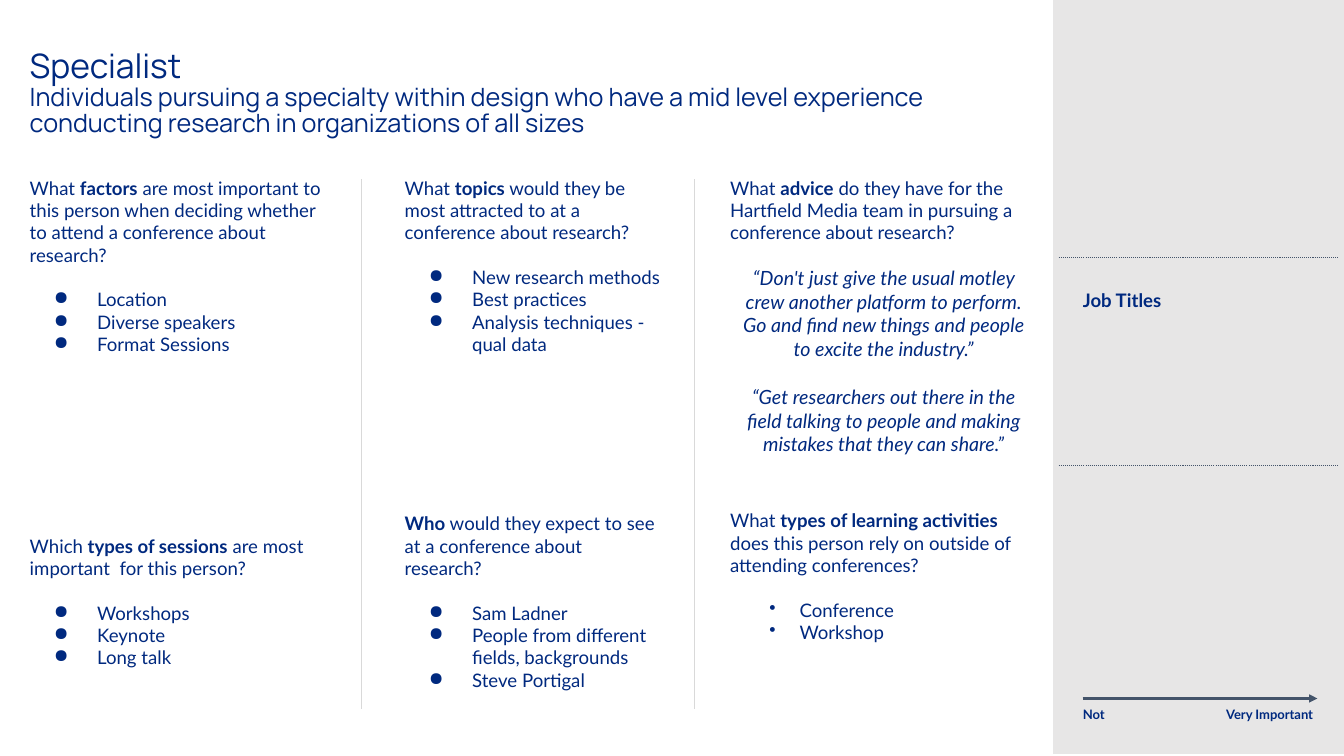
from lxml import etree
from pptx import Presentation
from pptx.dml.color import RGBColor
from pptx.enum.dml import MSO_LINE
from pptx.enum.shapes import MSO_CONNECTOR, MSO_SHAPE
from pptx.enum.text import MSO_ANCHOR, PP_ALIGN
from pptx.oxml.ns import qn
from pptx.util import Cm, Pt

NAVY = RGBColor(0x00, 0x29, 0x7F)
SLATE = RGBColor(0x44, 0x54, 0x6A)
RULE = RGBColor(0xD9, 0xD9, 0xD9)
PANEL = RGBColor(0xE7, 0xE6, 0xE6)
LEFT, CENTER, RIGHT = PP_ALIGN.LEFT, PP_ALIGN.CENTER, PP_ALIGN.RIGHT
TOP, MIDDLE = MSO_ANCHOR.TOP, MSO_ANCHOR.MIDDLE
STRAIGHT, RECT, DOT = MSO_CONNECTOR.STRAIGHT, MSO_SHAPE.RECTANGLE, MSO_LINE.ROUND_DOT

BODY = 13.3
LINE = 16  # height in points of one line of body text
INSET = Cm(0.34)


def add_box(slide, x, y, w, h, anchor=TOP):
    tf = slide.shapes.add_textbox(Cm(x), Cm(y), Cm(w), Cm(h)).text_frame
    tf.word_wrap = True
    tf.vertical_anchor = anchor
    tf.margin_left = tf.margin_right = tf.margin_top = tf.margin_bottom = INSET
    return tf


def add_text(tf, text, size=BODY, font="Lato", bold=False, italic=False,
             align=LEFT, before=0, spacing=1.0, margin=0, hang=0, bullet=None):
    """Add a paragraph; parts between asterisks switch boldness."""
    p = tf.paragraphs[0]
    if p.runs:
        p = tf.add_paragraph()
    p.alignment, p.space_before, p.line_spacing = align, Pt(before), spacing
    pPr = p._p.get_or_add_pPr()
    pPr.set("marL", str(Cm(margin)))
    pPr.set("indent", str(-Cm(hang)))
    if bullet:
        etree.SubElement(pPr, qn("a:buChar")).set("char", bullet)
    for i, part in enumerate(text.split("*")):
        if part:
            r = p.add_run()
            r.text = part
            f = r.font
            f.name, f.size, f.italic = font, Pt(size), italic
            f.bold = bold or i % 2 == 1
            f.color.rgb = NAVY


def add_question(tf, question, answers, before=0, bullet="●", margin=1.7, hang=1.09):
    add_text(tf, question, before=before)
    for i, answer in enumerate(answers):
        add_text(tf, answer, before=0 if i else LINE, bullet=bullet,
                 margin=margin, hang=hang)


def add_line(slide, x1, y1, x2, y2, color, width=0.75, dash=None, arrow=False):
    sp = slide.shapes.add_connector(STRAIGHT, Cm(x1), Cm(y1), Cm(x2), Cm(y2))
    sp.line.color.rgb = color
    sp.line.width = Pt(width)
    if dash:
        sp.line.dash_style = dash
    if arrow:
        etree.SubElement(sp.line._get_or_add_ln(), qn("a:tailEnd")).set("type", "triangle")
    etree.SubElement(sp._element.spPr, qn("a:effectLst"))


def add_panel(slide, x, y, w, h):
    sp = slide.shapes.add_shape(RECT, Cm(x), Cm(y), Cm(w), Cm(h))
    sp.shadow.inherit = False
    sp.fill.solid()
    sp.fill.fore_color.rgb = PANEL
    sp.line.fill.background()


def main():
    prs = Presentation()
    prs.slide_width, prs.slide_height = Cm(33.87), Cm(19.05)
    s = prs.slides.add_slide(prs.slide_layouts[6])

    # Heading
    tf = add_box(s, 0.41, 0.64, 26.14, 3.45, anchor=MIDDLE)
    add_text(tf, "Specialist", size=24, font="Manrope", spacing=0.87)
    add_text(tf, "Individuals pursuing a specialty within design who have a mid level "
             "experience conducting research in organizations of all sizes",
             size=18, font="Manrope", spacing=0.87)

    # Factors and sessions
    tf = add_box(s, 0.41, 4.11, 8.41, 14.2)
    add_question(tf, "What *factors* are most important to this person when deciding "
                 "whether to attend a conference about research?",
                 ["Location", "Diverse speakers", "Format Sessions"])
    add_question(tf, "Which* types of sessions* are most important  for this person?",
                 ["Workshops", "Keynote", "Long talk"], before=8 * LINE)

    # Topics and people
    tf = add_box(s, 9.86, 4.11, 7.21, 14.2)
    add_question(tf, "What *topics* would they be most attracted to at a conference "
                 "about research?",
                 ["New research methods", "Best practices", "Analysis techniques - qual data"])
    add_question(tf, "*Who* would they expect to see at a conference about research?",
                 ["Sam Ladner", "People from different fields, backgrounds",
                  "Steve Portigal"], before=7 * LINE)

    # Advice and learning activities
    tf = add_box(s, 18.06, 4.11, 8.23, 14.3)
    add_text(tf, "What *advice* do they have for the Hartfield Media team in pursuing "
             "a conference about research?")
    quotes = [
        ("“Don't just give the usual motley crew another platform to perform. "
         "Go and find new things and people to excite the industry.”", LINE),
        ("“Get researchers out there in the field talking to people and making "
         "mistakes that they can share.”", 18),
    ]
    for quote, before in quotes:
        add_text(tf, quote, size=14, italic=True, align=CENTER, before=before, margin=0.2)
    add_question(tf, "What *types of learning activities* does this person rely on "
                 "outside of attending conferences?", ["Conference", "Workshop"],
                 before=38, bullet="•", margin=1.75, hang=0.76)

    # Column rules
    for x in (9.12, 17.5):
        add_line(s, x, 4.52, x, 17.86, RULE)

    # Side panel
    add_panel(s, 26.54, 0, 7.33, 19)
    add_text(add_box(s, 26.95, 6.65, 6.68, 2.01), "Job Titles", bold=True, spacing=1.5)
    for y in (6.5, 11.73):
        add_line(s, 26.68, y, 33.71, y, SLATE, dash=DOT)

    # Importance scale
    add_line(s, 27.28, 17.6, 33.2, 17.6, SLATE, width=1.5, arrow=True)
    add_text(add_box(s, 26.95, 17.6, 5.84, 1.45), "Not", size=9.3, bold=True)
    add_text(add_box(s, 30.23, 17.6, 3.2, 0.79), "Very Important", size=9.3,
             bold=True, align=RIGHT)

    prs.save("out.pptx")


main()
